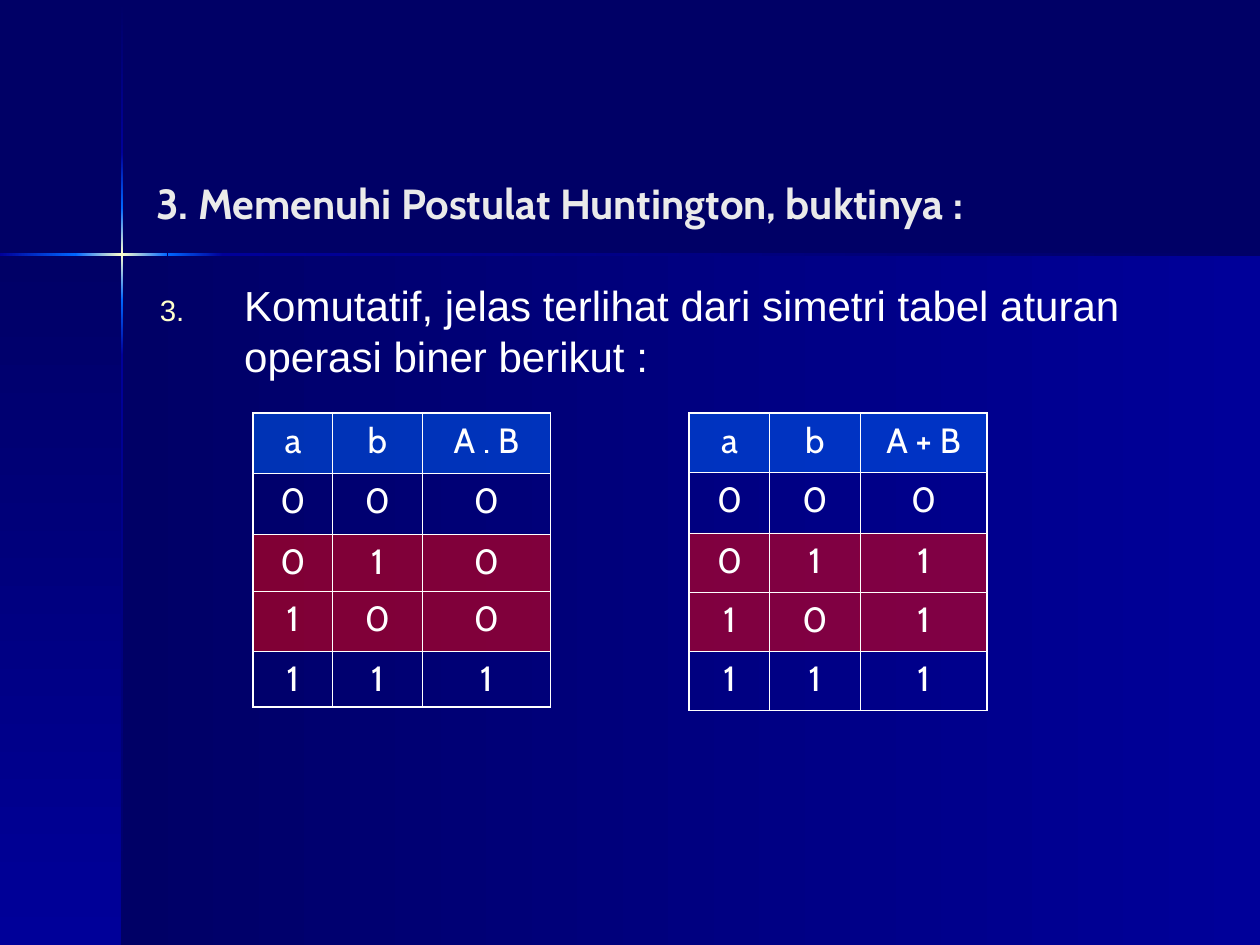
from dataclasses import dataclass
from itertools import accumulate

from lxml import etree
from pptx import Presentation
from pptx.dml.color import RGBColor
from pptx.enum.shapes import MSO_SHAPE
from pptx.enum.text import MSO_ANCHOR, PP_ALIGN
from pptx.oxml.ns import qn
from pptx.util import Emu, Inches, Pt

RECTANGLE = MSO_SHAPE.RECTANGLE
LEFT, CENTER = PP_ALIGN.LEFT, PP_ALIGN.CENTER
TOP, MIDDLE = MSO_ANCHOR.TOP, MSO_ANCHOR.MIDDLE

# The slide is a grid of 100 columns by 75 rows, square cells
COLUMNS, ROWS = 100, 75
CELL = Inches(0.1)


@dataclass(frozen=True)
class Theme:
    night: str = "000066"
    royal: str = "000099"
    bright: str = "0066FF"
    glow: str = "FFFFCC"
    title: str = "EAEAEA"
    text: str = "FFFFFF"
    highlight: str = "FF0000"
    heading_font: str = "Cabin"
    body_font: str = "Arial"
    heading_size: int = 24
    body_size: int = 24
    table_size: int = 20
    outer_line: float = 1.08
    inner_line: float = 0.45


THEME = Theme()


def grid(*lengths):
    return [Emu(round(length * CELL)) for length in lengths]


def add_node(parent, tag, **attributes):
    node = etree.SubElement(parent, qn(tag))
    for key, value in attributes.items():
        node.set(key, str(value))
    return node


def write(frame, text, *, font, size, color, bold=False, align=LEFT, anchor=TOP):
    frame.word_wrap = True
    frame.vertical_anchor = anchor
    paragraph = frame.paragraphs[0]
    paragraph.alignment = align
    run = paragraph.add_run()
    run.text = text
    run.font.name, run.font.size, run.font.bold = font, Pt(size), bold
    run.font.color.rgb = RGBColor.from_string(color)


def number_paragraph(paragraph, start, indent, color, percent):
    properties = paragraph._p.get_or_add_pPr()
    properties.set("marL", str(indent))
    properties.set("indent", str(-indent))
    add_node(add_node(properties, "a:buClr"), "a:srgbClr", val=color)
    add_node(properties, "a:buSzPct", val=percent * 1000)
    add_node(properties, "a:buFont", typeface=THEME.body_font)
    add_node(properties, "a:buAutoNum", type="arabicPeriod", startAt=start)


def gradient_panel(slide, box, colors, vertical):
    panel = slide.shapes.add_shape(RECTANGLE, *grid(*box))
    panel.shadow.inherit = False
    panel.line.fill.background()
    panel.fill.gradient()
    panel.fill.gradient_angle = 270 if vertical else 0
    stops = panel._element.spPr.find(qn("a:gradFill")).find(qn("a:gsLst"))
    for stop in list(stops):
        stops.remove(stop)
    for index, color in enumerate(colors):
        position = index * 100000 // (len(colors) - 1)
        add_node(add_node(stops, "a:gs", pos=position), "a:srgbClr", val=color)


def backdrop(slide, box):
    left, top, width, height = box
    right, bottom = left + width, top + height
    cross_x, cross_y, beam = left + 9.7, top + 20.2, 0.2
    night, royal, bright = THEME.night, THEME.royal, THEME.bright

    slide.background.fill.solid()
    slide.background.fill.fore_color.rgb = RGBColor.from_string(night)

    # Content panel and left margin panel
    depth = bottom - cross_y
    gradient_panel(slide, (cross_x, cross_y, right - cross_x, depth), (night, royal), False)
    gradient_panel(slide, (left, cross_y, cross_x - left, depth), (night, royal), True)

    # Beams, brightest where they cross
    shades = [(night, royal), (royal, bright), (bright, THEME.glow, bright),
              (bright, royal), (royal, night)]
    down = [top + 0.1, top + 12.1, top + 16.5, top + 23.8, top + 28.2, bottom]
    across = [left, left + 6, left + 13.3, left + 17.7, right]
    for start, end, colors in zip(down, down[1:], shades):
        gradient_panel(slide, (cross_x - beam / 2, start, beam, end - start), colors, True)
    for start, end, colors in zip(across, across[1:], shades[1:]):
        gradient_panel(slide, (start, cross_y - beam / 2, end - start, beam), colors, False)


def heading(slide, box, text):
    title = slide.shapes.title
    title.left, title.top, title.width, title.height = grid(*box)
    write(title.text_frame, text, font=THEME.heading_font, size=THEME.heading_size,
          color=THEME.title, bold=True, anchor=MIDDLE)


def numbered_point(slide, box, text, number):
    frame = slide.shapes.add_textbox(*grid(*box)).text_frame
    number_paragraph(frame.paragraphs[0], number, Inches(0.67), THEME.glow, 70)
    write(frame, text, font=THEME.body_font, size=THEME.body_size, color=THEME.text)


def style_cell(cell, fill, line_widths):
    if fill:
        cell.fill.solid()
        cell.fill.fore_color.rgb = RGBColor.from_string(fill)
        add_node(cell._tc.tcPr.find(".//" + qn("a:srgbClr")), "a:alpha", val=50000)
    else:
        cell.fill.background()
    properties = cell._tc.tcPr
    for index, (side, width) in enumerate(line_widths.items()):
        line = add_node(properties, f"a:ln{side}", w=int(Pt(width)))
        add_node(add_node(line, "a:solidFill"), "a:srgbClr", val=THEME.text)
        properties.insert(index, line)


def truth_table(slide, box, operation, results, columns, rows):
    left, top = box
    table = slide.shapes.add_table(len(rows), len(columns),
                                   *grid(left, top, sum(columns), sum(rows))).table
    table.first_row = table.horz_banding = False
    for column, width in zip(table.columns, grid(*columns)):
        column.width = width
    for row, height in zip(table.rows, grid(*rows)):
        row.height = height

    inputs = [(a, b) for a in (0, 1) for b in (0, 1)]
    content = [("a", "b", operation)]
    content += [(a, b, result) for (a, b), result in zip(inputs, results)]
    last_row, last_column = len(rows) - 1, len(columns) - 1
    for r, values in enumerate(content):
        # The rows where a and b differ show the symmetry
        differs = r > 0 and values[0] != values[1]
        fill = THEME.bright if r == 0 else THEME.highlight if differs else None
        for c, value in enumerate(values):
            edges = {"L": c == 0, "R": c == last_column, "T": r == 0, "B": r == last_row}
            cell = table.cell(r, c)
            style_cell(cell, fill, {side: THEME.outer_line if outer else THEME.inner_line
                                    for side, outer in edges.items()})
            write(cell.text_frame, str(value), font=THEME.heading_font,
                  size=THEME.table_size, color=THEME.text, align=CENTER)


def main():
    deck = Presentation()
    deck.slide_width, deck.slide_height = grid(COLUMNS, ROWS)
    slide = deck.slides.add_slide(deck.slide_layouts[5])

    backdrop(slide, (0, 0, COLUMNS, ROWS))
    heading(slide, (11.4, 13.9, 82.5, 4.3), "3. Memenuhi Postulat Huntington, buktinya :")
    numbered_point(slide, (11.7, 21.7, 84, 9.5),
                   "Komutatif, jelas terlihat dari simetri tabel aturan operasi biner berikut :", 3)
    truth_table(slide, (54.7, 32.8), "A + B", (0, 1, 1, 1),
                (6.4, 7.15, 10.1), (4.7, 4.8, 4.7, 4.7, 4.7))
    truth_table(slide, (20.1, 32.8), "A . B", (0, 0, 0, 1),
                (6.3, 7.1, 10.2), (4.8, 4.8, 4.5, 4.8, 4.4))
    deck.save("out.pptx")


if __name__ == "__main__":
    main()
